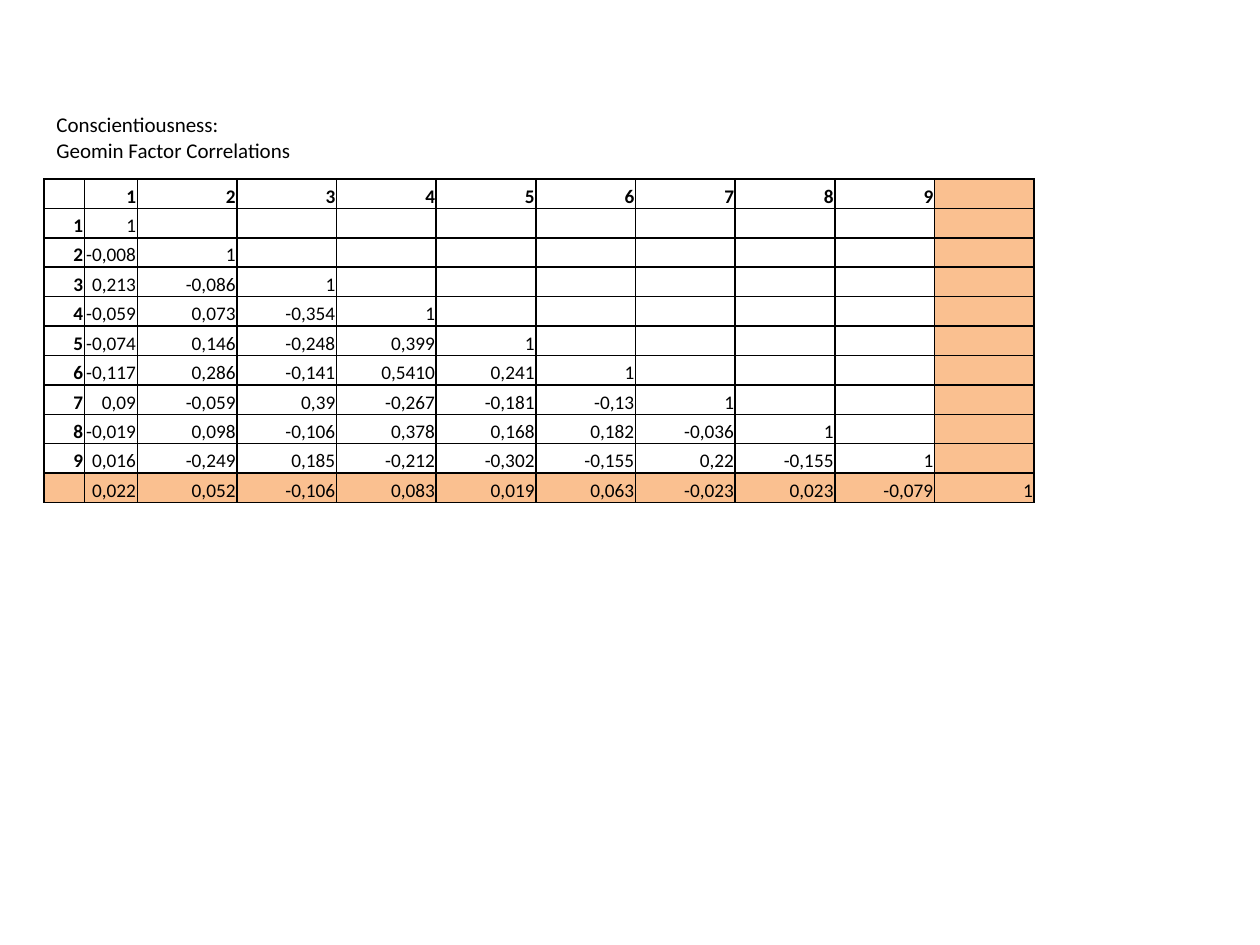
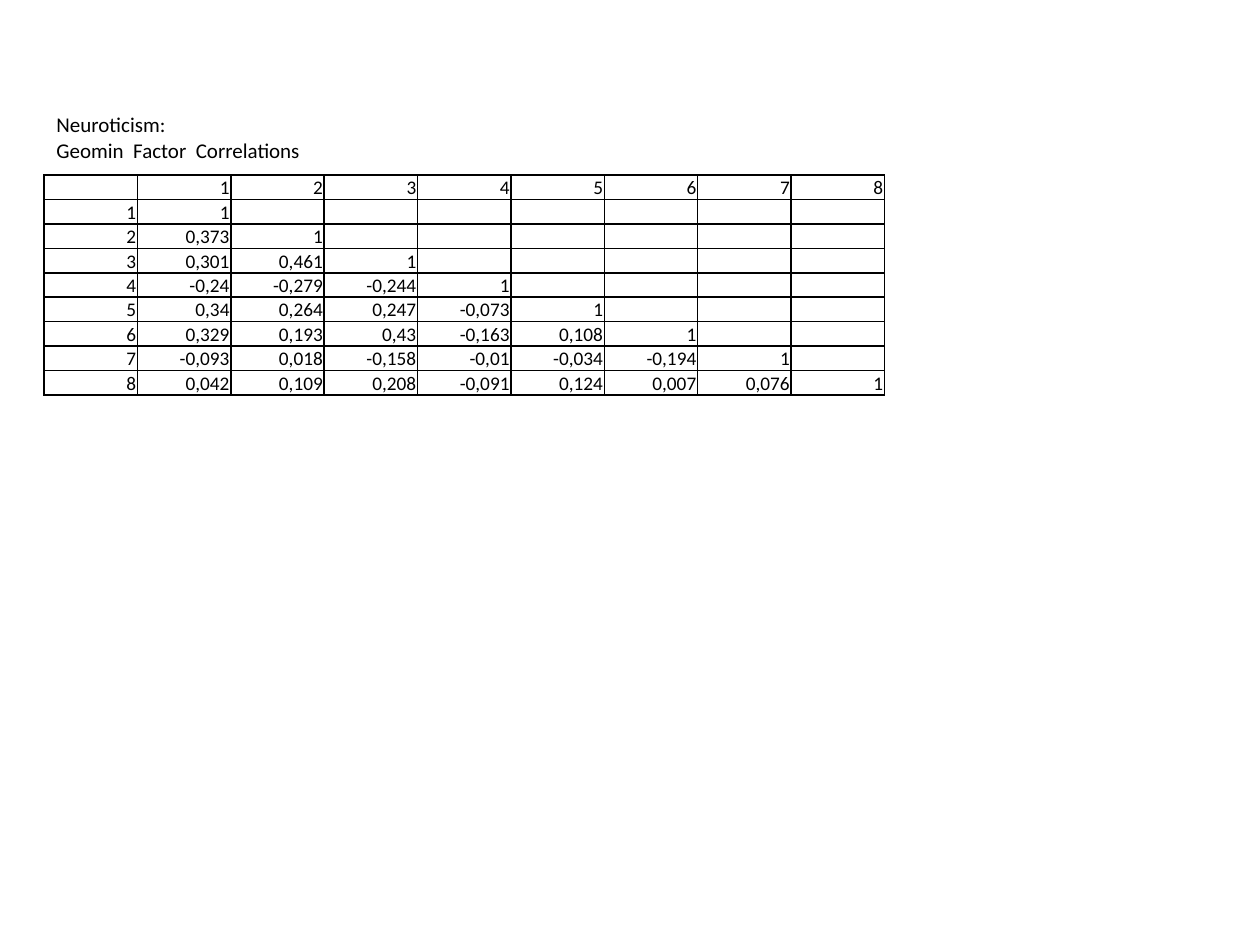
from lxml.etree import SubElement
from pptx import Presentation
from pptx.dml.color import RGBColor
from pptx.enum.text import MSO_ANCHOR, MSO_AUTO_SIZE, PP_ALIGN
from pptx.oxml.ns import qn
from pptx.util import Inches, Pt

# Shared style
BLACK = RGBColor(0x00, 0x00, 0x00)
ORANGE = RGBColor(0xFA, 0xC0, 0x90)
FONT = "Calibri"
LEFT = Inches(0.35)

# Content: lower triangles, one line per factor
CONSCIENTIOUSNESS = {
    "title": ["Conscientiousness: ", "Geomin Factor Correlations"],
    "labels": ["1", "2", "3", "4", "5", "6", "7", "8", "9", ""],
    "correlations": """
        1
        -0,008 1
        0,213 -0,086 1
        -0,059 0,073 -0,354 1
        -0,074 0,146 -0,248 0,399 1
        -0,117 0,286 -0,141 0,5410 0,241 1
        0,09 -0,059 0,39 -0,267 -0,181 -0,13 1
        -0,019 0,098 -0,106 0,378 0,168 0,182 -0,036 1
        0,016 -0,249 0,185 -0,212 -0,302 -0,155 0,22 -0,155 1
        0,022 0,052 -0,106 0,083 0,019 0,063 -0,023 0,023 -0,079 1""",
    "top": 1.42, "width": 7.86, "height": 2.57,
    "narrow_columns": [0.32, 0.42],
    "bold_labels": True, "highlight_last": True,
}
NEUROTICISM = {
    "title": ["Neuroticism: ", "Geomin  Factor  Correlations"],
    "labels": ["1", "2", "3", "4", "5", "6", "7", "8"],
    "correlations": """
        1
        0,373 1
        0,301 0,461 1
        -0,24 -0,279 -0,244 1
        0,34 0,264 0,247 -0,073 1
        0,329 0,193 0,43 -0,163 0,108 1
        -0,093 0,018 -0,158 -0,01 -0,034 -0,194 1
        0,042 0,109 0,208 -0,091 0,124 0,007 0,076 1""",
    "top": 1.39, "width": 6.67, "height": 1.73,
    "narrow_columns": [],
    "bold_labels": False, "highlight_last": False,
}


def set_font(paragraph, size, bold=False):
    font = paragraph.font
    font.name, font.size, font.bold = FONT, Pt(size), bold
    font.color.rgb = BLACK


def add_title(slide, lines):
    shape = slide.shapes.add_textbox(LEFT, Inches(0.84), Inches(2.36), Inches(0.5))
    frame = shape.text_frame
    frame.word_wrap = True
    frame.auto_size = MSO_AUTO_SIZE.SHAPE_TO_FIT_TEXT
    frame.text = "\n".join(lines)
    for paragraph in frame.paragraphs:
        set_font(paragraph, 12)


def add_borders(cell):
    properties = cell._tc.get_or_add_tcPr()
    for side in ("lnL", "lnR", "lnT", "lnB"):
        line = SubElement(properties, qn(f"a:{side}"), w=str(Pt(1)))
        fill = SubElement(line, qn("a:solidFill"))
        SubElement(fill, qn("a:srgbClr"), val=str(BLACK))


def style_cell(cell, text, bold, highlighted):
    cell.margin_left = cell.margin_right = cell.margin_top = Inches(0.01)
    cell.margin_bottom = 0
    cell.vertical_anchor = MSO_ANCHOR.BOTTOM
    add_borders(cell)
    if highlighted:
        cell.fill.solid()
        cell.fill.fore_color.rgb = ORANGE
    else:
        cell.fill.background()
    paragraph = cell.text_frame.paragraphs[0]
    paragraph.alignment = PP_ALIGN.RIGHT
    set_font(paragraph, 11, bold)
    if text:
        paragraph.add_run().text = text
    else:
        # Keeps an empty cell from stretching its row
        SubElement(paragraph._p, qn("a:endParaRPr"), sz="1100")


def add_correlation_table(slide, matrix):
    labels = matrix["labels"]
    triangle = [line.split() for line in matrix["correlations"].strip().splitlines()]
    rows = [["", *labels]] + [[label, *values] for label, values in zip(labels, triangle)]
    count = len(rows)
    table = slide.shapes.add_table(
        count, count, LEFT, Inches(matrix["top"]),
        Inches(matrix["width"]), Inches(matrix["height"])).table
    table.first_row = table.horz_banding = False

    # Narrow columns first, the rest share the remaining width
    narrow = matrix["narrow_columns"]
    shared = (matrix["width"] - sum(narrow)) / (count - len(narrow))
    widths = narrow + [shared] * (count - len(narrow))
    for column, width in zip(table.columns, widths):
        column.width = Inches(width)
    for row in table.rows:
        row.height = Inches(matrix["height"] / count)

    for i, values in enumerate(rows):
        for j in range(count):
            style_cell(
                table.cell(i, j),
                values[j] if j < len(values) else "",
                matrix["bold_labels"] and 0 in (i, j),
                matrix["highlight_last"] and count - 1 in (i, j))


presentation = Presentation()
presentation.slide_width = Inches(10)
presentation.slide_height = Inches(7.5)
for matrix in (CONSCIENTIOUSNESS, NEUROTICISM):
    slide = presentation.slides.add_slide(presentation.slide_layouts[6])
    add_correlation_table(slide, matrix)
    add_title(slide, matrix["title"])
presentation.save("out.pptx")
